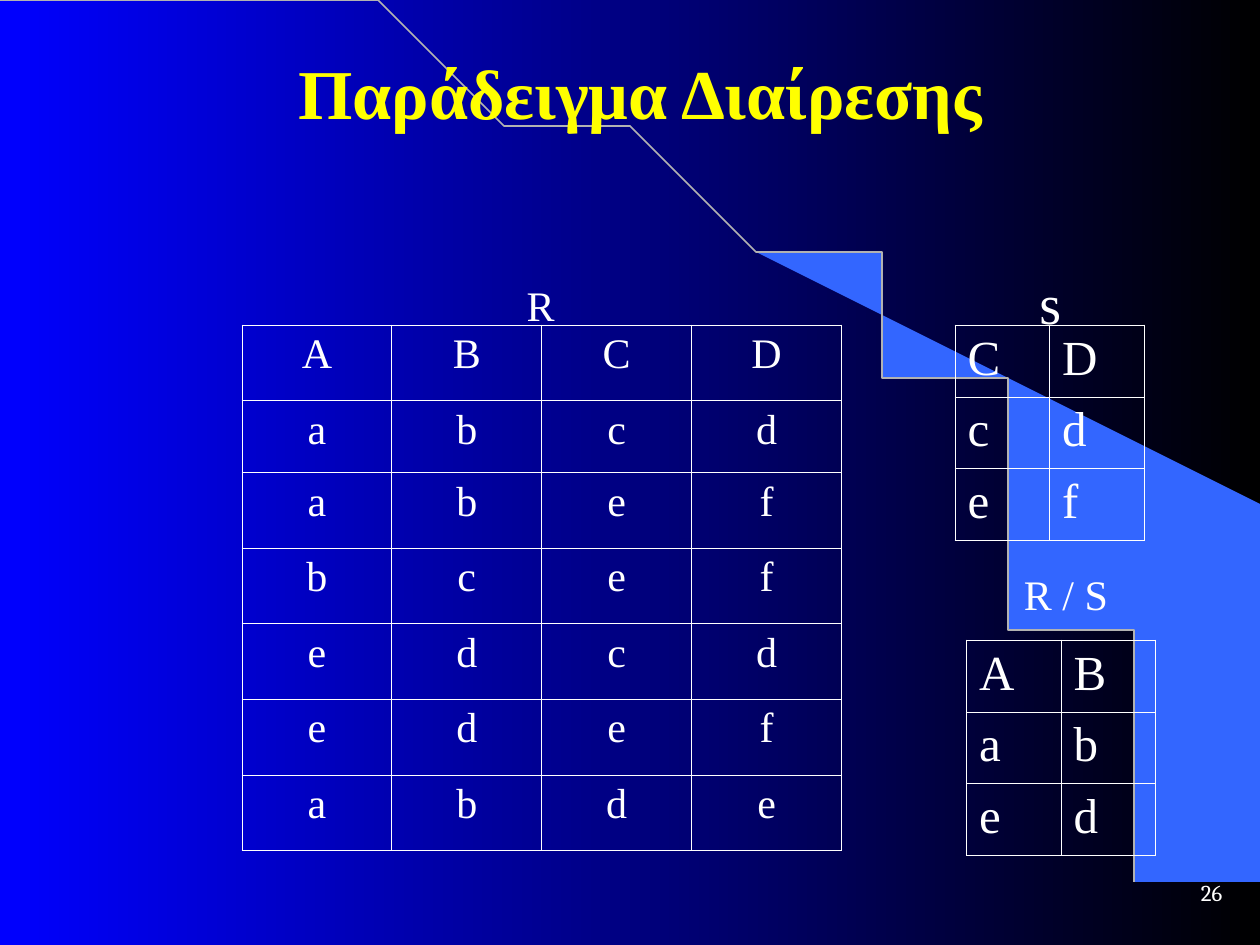
from dataclasses import dataclass
from math import asin, cos, pi, sin

from lxml.etree import SubElement
from pptx import Presentation
from pptx.dml.color import RGBColor as Rgb
from pptx.enum.text import MSO_ANCHOR as Anchor, PP_ALIGN as Align
from pptx.oxml import parse_xml
from pptx.oxml.ns import nsdecls, qn
from pptx.util import Inches, Pt


@dataclass(frozen=True)
class Theme:
    font: str = "Times New Roman"
    number_font: str = "Cambria"
    text: str = "FFFFFF"
    title: str = "FFFF00"
    gradient: tuple[str, str] = ("0000FF", "000000")
    wedge: str = "3366FF"
    arc: str = "B2B2B2"
    border_width: float = 0.45
    title_size: int = 40
    symbol_size: int = 32
    large_size: int = 28
    body_size: int = 24
    number_size: int = 13


@dataclass(frozen=True)
class Label:
    text: str
    left: float
    top: float
    width: float
    height: float
    size: int


@dataclass(frozen=True)
class Relation:
    rows: tuple[str, ...]  # one letter for each cell
    left: float
    top: float
    column_width: float
    row_heights: tuple[float, ...]
    size: int
    align: Align


THEME = Theme()
ARC_WIDTH, ARC_HEIGHT = 9.2, 7.49
WEDGE_TIP = 5.89

RELATIONS = (
    Relation(("ABCD", "abcd", "abef", "bcef", "edcd", "edef", "abde"), 1.92, 2.58,
             1.19, (0.6, 0.57) + (0.6,) * 5, THEME.body_size, Align.CENTER),
    Relation(("CD", "cd", "ef"), 7.58, 2.58, 0.75, (0.57,) * 3,
             THEME.large_size, Align.LEFT),
    Relation(("AB", "ab", "ed"), 7.67, 5.08, 0.75, (0.57,) * 3,
             THEME.large_size, Align.LEFT),
)
LABELS = (
    Label("s", 8, 2.08, 0.67, 0.64, THEME.symbol_size),
    Label("R / S", 7.36, 4.46, 2.2, 0.5, THEME.body_size),
    Label("R", 3.75, 2.17, 1.08, 0.5, THEME.body_size),
)


def write(text_frame, text: str, size: int, align: Align,
          color: str = THEME.text, font: str = THEME.font, bold: bool = False) -> None:
    text_frame.text = text
    paragraph = text_frame.paragraphs[0]
    paragraph.alignment = align
    for run in paragraph.runs:
        run.font.name = font
        run.font.size = Pt(size)
        run.font.bold = bold
        run.font.color.rgb = Rgb.from_string(color)


def arc_points(start: float, steps: int = 60) -> list[tuple[float, float]]:
    """Points on the quarter ellipse, from x = start to its right end."""
    first = asin(start / ARC_WIDTH)
    angles = (first + (pi / 2 - first) * step / steps for step in range(steps + 1))
    return [(ARC_WIDTH * sin(angle), ARC_HEIGHT * (1 - cos(angle))) for angle in angles]


def add_outline(slide, points: list[tuple[float, float]], close: bool):
    builder = slide.shapes.build_freeform(*points[0], scale=Inches(1))
    builder.add_line_segments(points[1:], close=close)
    shape = builder.convert_to_shape()
    shape.shadow.inherit = False
    return shape


def add_backdrop(slide) -> None:
    fill = slide.background.fill
    fill.gradient()
    fill.gradient_angle = 0
    for stop, color in zip(fill.gradient_stops, THEME.gradient):
        stop.color.rgb = Rgb.from_string(color)

    wedge = add_outline(slide, arc_points(WEDGE_TIP) + [(9.99, 7.49), (9.99, 4.23)], True)
    wedge.fill.solid()
    wedge.fill.fore_color.rgb = Rgb.from_string(THEME.wedge)
    wedge.line.fill.background()

    arc = add_outline(slide, arc_points(0), False)
    arc.fill.background()
    arc.line.color.rgb = Rgb.from_string(THEME.arc)
    arc.line.width = Pt(1)


def add_label(slide, label: Label) -> None:
    box = slide.shapes.add_textbox(Inches(label.left), Inches(label.top),
                                   Inches(label.width), Inches(label.height))
    box.text_frame.word_wrap = True
    write(box.text_frame, label.text, label.size, Align.CENTER)


def add_borders(cell) -> None:
    properties = cell._tc.get_or_add_tcPr()
    for index, side in enumerate(("lnL", "lnR", "lnT", "lnB")):
        line = parse_xml(f'<a:{side} {nsdecls("a")} w="{Pt(THEME.border_width)}"/>')
        solid = SubElement(line, qn("a:solidFill"))
        SubElement(solid, qn("a:srgbClr"), val=THEME.text)
        properties.insert(index, line)


def add_relation(slide, relation: Relation) -> None:
    row_count, column_count = len(relation.rows), len(relation.rows[0])
    table = slide.shapes.add_table(
        row_count, column_count, Inches(relation.left), Inches(relation.top),
        Inches(relation.column_width * column_count),
        Inches(sum(relation.row_heights))).table
    table.first_row = table.horz_banding = False
    for column in table.columns:
        column.width = Inches(relation.column_width)
    for row, height, letters in zip(table.rows, relation.row_heights, relation.rows):
        row.height = Inches(height)
        for cell, letter in zip(row.cells, letters):
            write(cell.text_frame, letter, relation.size, relation.align)
            cell.fill.background()
            add_borders(cell)


def main() -> None:
    presentation = Presentation()
    presentation.slide_width, presentation.slide_height = Inches(10), Inches(7.5)
    slide = presentation.slides.add_slide(presentation.slide_layouts[5])
    add_backdrop(slide)

    # Slide number
    number = slide.shapes.add_textbox(Inches(9.24), Inches(6.83), Inches(0.56), Inches(0.5))
    number.text_frame.word_wrap = False
    number.text_frame.vertical_anchor = Anchor.MIDDLE
    write(number.text_frame, "26", THEME.number_size, Align.RIGHT, font=THEME.number_font)

    # Title, brought in front of the backdrop
    title = slide.shapes.title
    title.left, title.top = Inches(0.83), Inches(0.21)
    title.width, title.height = Inches(8.5), Inches(1.04)
    title.text_frame.vertical_anchor = Anchor.MIDDLE
    write(title.text_frame, "Παράδειγμα Διαίρεσης", THEME.title_size, Align.CENTER,
          color=THEME.title, bold=True)
    title.element.getparent().append(title.element)

    # Relations and their names
    for relation in RELATIONS:
        add_relation(slide, relation)
    for label in LABELS:
        add_label(slide, label)

    presentation.save("out.pptx")


if __name__ == "__main__":
    main()
